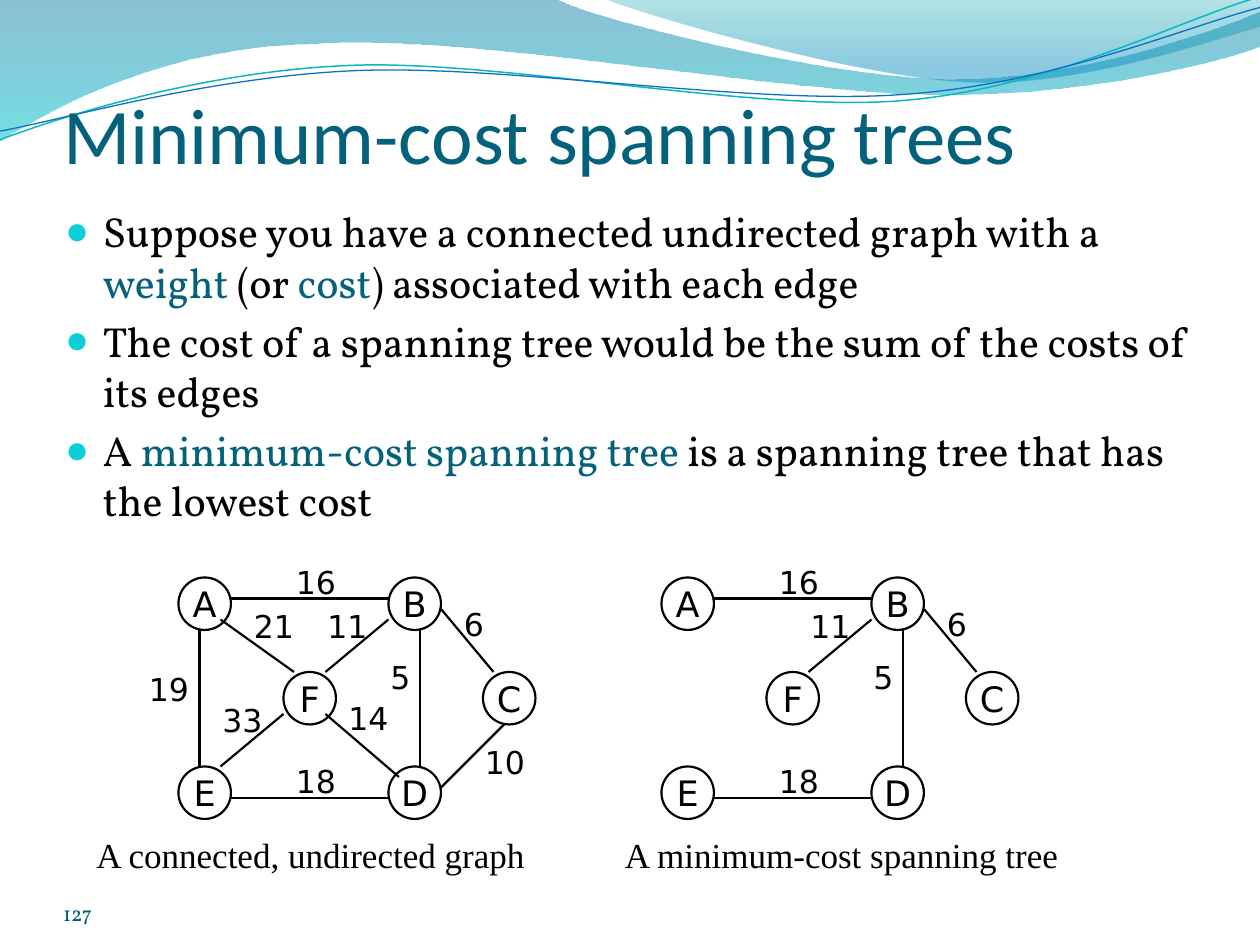
from lxml.etree import SubElement
from pptx import Presentation
from pptx.dml.color import RGBColor
from pptx.enum.shapes import MSO_CONNECTOR, MSO_SHAPE
from pptx.enum.text import MSO_ANCHOR, MSO_AUTO_SIZE, PP_ALIGN
from pptx.oxml.ns import qn
from pptx.util import Pt

BLACK = RGBColor(0x00, 0x00, 0x00)
TEAL = RGBColor(0x04, 0x61, 0x7B)
NUMBER_TEAL = RGBColor(0x04, 0x5D, 0x75)
BULLET_CYAN = RGBColor(0x0B, 0xD0, 0xD9)
WAVE_CYAN = RGBColor(0x0A, 0xB8, 0xBF)
WAVE_BLUE = RGBColor(0x0F, 0x6F, 0xC6)
BAND_BLUE = RGBColor(0x00, 0x74, 0xA1)
BAND_CYAN = RGBColor(0x00, 0xC6, 0xCF)
CORNER_CYAN = RGBColor(0x00, 0xA1, 0xA9)
CORNER_BLUE = RGBColor(0x00, 0x8B, 0xBF)

TITLE = "Minimum-cost spanning trees"
# Each bullet is a list of (text, is a key term).
BULLETS = [
    [("Suppose you have a connected undirected graph with a ", False), ("weight", True),
     (" (or ", False), ("cost", True), (") associated with each edge", False)],
    [("The cost of a spanning tree would be the sum of the costs of its edges", False)],
    [("A ", False), ("minimum-cost spanning tree", True),
     (" is a spanning tree that has the lowest cost", False)],
]
SLIDE_NUMBER = "127"

# The graph lies on a grid of 6 points; nodes and labels give their left top corner.
GRID = 6
NODE_SIZE = 5
NODES = {"A": (17, 55), "B": (37, 55), "E": (17, 73),
         "D": (37, 73), "F": (27, 64), "C": (46, 64)}
# weight: (start, end, label)
EDGES = {
    16: ((22, 57), (37, 57), (27, 53)),
    19: ((19, 60), (19, 73), (13, 63.2)),
    21: ((21, 59), (28, 64), (23, 57.2)),
    11: ((37, 59), (31, 64), (30, 57.2)),
    33: ((21, 73), (27, 68), (20, 66.2)),
    14: ((38, 74), (31, 68), (32, 66)),
    18: ((22, 76), (37, 76), (27, 72)),
    10: ((42, 75), (48, 69), (45, 70.2)),
    6: ((42, 58), (47, 64), (43, 57)),
    5: ((40, 60), (40, 73), (36, 62.1)),
}
# (caption, caption left in points, grid offset, weights)
GRAPHS = [
    ("A connected, undirected graph", 48, 0, list(EDGES)),
    ("A minimum-cost spanning tree", 350, 46, [16, 11, 18, 6, 5]),
]

# Outlines in points: two numbers are a corner, six are a Bézier curve.
BANDS = [
    ([(0, 0), (317, -1), (343, 12, 478, 45, 546, 45), (614, 45, 690, 19, 720, 6.5),
      (721, 26), (708, 32, 626, 55, 537, 54), (448, 54, 275, 20, 185, 24.5),
      (93, 26, 33, 60, -1, 81)], (BAND_BLUE, 0, 45), (BAND_CYAN, 1, 55)),
    ([(345, -1), (366, 8, 491, 44.6, 554, 47), (616, 49.7, 692, 23, 720, 15),
      (720, 0)], (CORNER_CYAN, 0, 30), (CORNER_BLUE, 0.8, 45)),
]
WAVE_ROTATION = 357.3
WAVES = [
    ([(-1.5, 62.9), (33.7, 51.6, 114, 29.4, 199.8, 29.9),
      (284.8, 30.3, 425.8, 67.2, 512.4, 64.9), (599, 62.4, 676.4, 25.7, 720, 15.6)],
     WAVE_CYAN, 0.85),
    ([(-1.2, 57.9), (32.9, 53.7, 118.3, 32.5, 204, 33),
      (290.5, 33.5, 428.9, 63.8, 515.5, 61.3), (601.4, 59.6, 678.5, 30.1, 721.4, 21.3)],
     WAVE_BLUE, 0.75),
]


def add_outline(slide, outline, close):
    """Add a freeform behind the title, turning its six-number parts into curves."""
    parts = [tuple(map(Pt, part)) for part in outline]
    builder = slide.shapes.build_freeform(*parts[0])
    builder.add_line_segments([part[-2:] for part in parts[1:]], close=close)
    shape = builder.convert_to_shape()
    for line, part in zip(list(shape.element.iter(qn("a:lnTo"))), parts[1:]):
        if len(part) == 6:
            curve = SubElement(line.getparent(), qn("a:cubicBezTo"))
            for x, y in zip(part[::2], part[1::2]):
                SubElement(curve, qn("a:pt"), x=str(x - shape.left), y=str(y - shape.top))
            line.getparent().replace(line, curve)
    shape.shadow.inherit = False
    slide.shapes.title.element.addprevious(shape.element)
    return shape


def add_background(slide):
    for outline, *stops in BANDS:
        band = add_outline(slide, outline, True)
        band.line.fill.background()
        band.fill.gradient()
        band.fill.gradient_angle = 270
        for stop, (color, position, _) in zip(band.fill.gradient_stops, stops):
            stop.color.rgb = color
            stop.position = position
        for element, (_, _, opacity) in zip(band.element.iter(qn("a:srgbClr")), stops):
            SubElement(element, qn("a:alpha"), val=str(opacity * 1000))
    for outline, color, width in WAVES:
        wave = add_outline(slide, outline, False)
        wave.rotation = WAVE_ROTATION
        wave.fill.background()
        wave.line.color.rgb = color
        wave.line.width = Pt(width)


def style(paragraph, font_name, size, color):
    paragraph.font.name = font_name
    paragraph.font.size = Pt(size)
    paragraph.font.color.rgb = color


def place(shape, left, top, width, height):
    shape.left, shape.top, shape.width, shape.height = map(Pt, (left, top, width, height))


def add_text(shapes, text, box, font_name, size, color=BLACK):
    text_box = shapes.add_textbox(*map(Pt, box))
    text_box.text_frame.word_wrap = True
    text_box.text_frame.text = text
    style(text_box.text_frame.paragraphs[0], font_name, size, color)
    return text_box.text_frame


def remove_margins(frame):
    frame.margin_left = frame.margin_right = frame.margin_top = frame.margin_bottom = 0


def add_bullet(paragraph):
    paragraph_properties = paragraph._p.get_or_add_pPr()
    paragraph_properties.set("marL", str(Pt(21.6)))
    paragraph_properties.set("indent", str(-Pt(21.6)))
    bullet_color = SubElement(paragraph_properties, qn("a:buClr"))
    SubElement(bullet_color, qn("a:srgbClr"), val=str(BULLET_CYAN))
    SubElement(paragraph_properties, qn("a:buSzPct"), val="95000")
    SubElement(paragraph_properties, qn("a:buChar"), char="●")


def fill_placeholders(slide):
    title, body = slide.placeholders
    place(title, 36, 55.5, 648, 47.5)
    frame = title.text_frame
    frame.text = TITLE
    remove_margins(frame)
    frame.margin_top = Pt(3.6)
    frame.vertical_anchor = MSO_ANCHOR.BOTTOM
    frame.auto_size = MSO_AUTO_SIZE.NONE
    frame.paragraphs[0].alignment = PP_ALIGN.LEFT
    style(frame.paragraphs[0], "Calibri", 45, TEAL)

    place(body, 30, 114, 675.5, 196.5)
    frame = body.text_frame
    frame.auto_size = MSO_AUTO_SIZE.NONE
    for index, runs in enumerate(BULLETS):
        paragraph = frame.add_paragraph() if index else frame.paragraphs[0]
        add_bullet(paragraph)
        paragraph.space_before = Pt(4.8 if index else 0)
        style(paragraph, "Vollkorn", 24, BLACK)
        for text, is_term in runs:
            run = paragraph.add_run()
            run.text = text
            if is_term:
                run.font.color.rgb = TEAL


def add_graph(slide, caption, caption_left, offset, weights):
    shapes = slide.shapes.add_group_shape().shapes

    def at(point):
        return (point[0] + offset) * GRID, point[1] * GRID

    for name, corner in NODES.items():
        size = NODE_SIZE * GRID
        node = shapes.add_shape(MSO_SHAPE.OVAL, *map(Pt, (*at(corner), size, size)))
        node.shadow.inherit = False
        node.fill.background()
        node.line.color.rgb = BLACK
        node.line.width = Pt(1.25)
        frame = node.text_frame
        remove_margins(frame)
        frame.word_wrap = False
        frame.vertical_anchor = MSO_ANCHOR.MIDDLE
        frame.text = name
        frame.paragraphs[0].alignment = PP_ALIGN.CENTER
        style(frame.paragraphs[0], "DejaVu Sans", 20, BLACK)
    for weight in weights:
        start, end, label = EDGES[weight]
        edge = shapes.add_connector(MSO_CONNECTOR.STRAIGHT, *map(Pt, at(start) + at(end)))
        edge.line.color.rgb = BLACK
        edge.line.width = Pt(1.25)
        SubElement(edge.element.spPr, qn("a:effectLst"))
        add_text(shapes, str(weight), (*at(label), 42, 29), "DejaVu Sans", 18)
    add_text(shapes, caption, (caption_left, 473, 270, 31), "Times New Roman", 20)


def main():
    presentation = Presentation()
    presentation.slide_width, presentation.slide_height = Pt(720), Pt(540)
    slide = presentation.slides.add_slide(presentation.slide_layouts[1])
    add_background(slide)
    fill_placeholders(slide)
    number = add_text(slide.shapes, SLIDE_NUMBER, (36, 500.5, 168, 28.5),
                      "Vollkorn", 12, NUMBER_TEAL)
    remove_margins(number)
    number.vertical_anchor = MSO_ANCHOR.BOTTOM
    for graph in GRAPHS:
        add_graph(slide, *graph)
    presentation.save("out.pptx")


if __name__ == "__main__":
    main()
